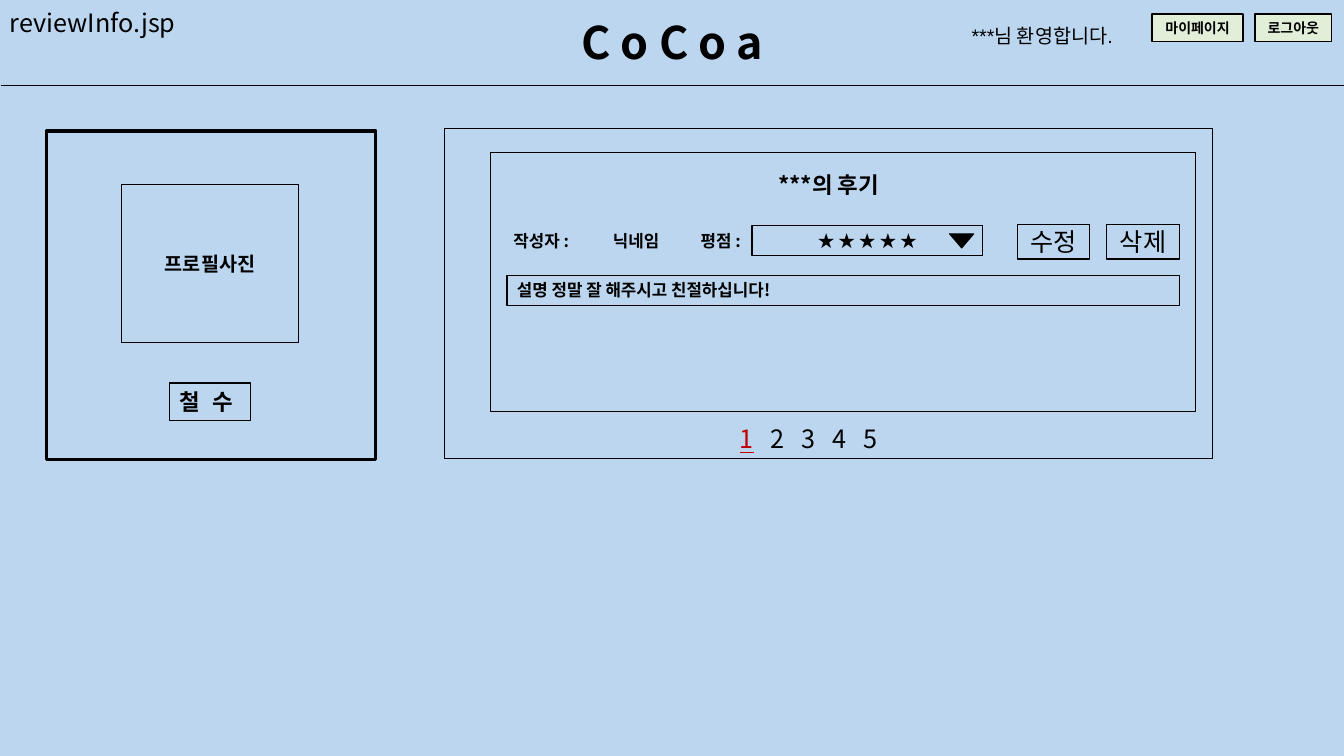
from dataclasses import dataclass

import pptx
import pptx.dml.color
import pptx.enum.shapes
import pptx.enum.text
import pptx.oxml.ns
import pptx.presentation
import pptx.shapes.autoshape
import pptx.shapes.base
import pptx.slide
import pptx.text.text
import pptx.util
from lxml import etree

BLACK = pptx.dml.color.RGBColor(0x00, 0x00, 0x00)
SKY = pptx.dml.color.RGBColor(0xBB, 0xD6, 0xEE)
MINT = pptx.dml.color.RGBColor(0xE1, 0xEF, 0xD8)
RED = pptx.dml.color.RGBColor(0xC0, 0x00, 0x00)
FONT = "Noto Sans CJK KR"
COLUMNS, ROWS = 160, 90
SLIDE_WIDTH, SLIDE_HEIGHT = pptx.util.Inches(13.33), pptx.util.Inches(7.5)
CENTER = pptx.enum.text.PP_ALIGN.CENTER
LEFT = pptx.enum.text.PP_ALIGN.LEFT
RECTANGLE = pptx.enum.shapes.MSO_SHAPE.RECTANGLE
TRIANGLE = pptx.enum.shapes.MSO_SHAPE.ISOSCELES_TRIANGLE


@dataclass(frozen=True)
class Area:
    column: float
    row: float
    width: float
    height: float


@dataclass(frozen=True)
class Label:
    area: Area
    text: str
    size: float = 12
    bold: bool = True
    alignment: pptx.enum.text.PP_ALIGN = CENTER
    font: str = FONT
    tab_width: float = 0


@dataclass(frozen=True)
class Box:
    area: Area
    label: Label | None = None
    line: float = 0.75
    fill: pptx.dml.color.RGBColor | None = None
    preset: pptx.enum.shapes.MSO_SHAPE = RECTANGLE
    rotation: float = 0


def boxed(area: Area, text: str, size: float = 12, bold: bool = True,
          alignment: pptx.enum.text.PP_ALIGN = CENTER, tab_width: float = 0,
          line: float = 0.75, fill: pptx.dml.color.RGBColor | None = None) -> Box:
    label = Label(area, text, size, bold, alignment, tab_width=tab_width)
    return Box(area, label, line, fill)


TITLE = Label(Area(60.6, 1.08, 38.88, 7.68), "C o C o a", 32)
PAGES = Label(Area(86.88, 49.8, 23.64, 4.8), "1\t2\t3\t4\t5", 18, False, LEFT, tab_width=3.69)
LABELS = [
    Label(Area(0, 0.24, 22.8, 4.8), "reviewInfo.jsp", 18, False, LEFT),
    Label(Area(114.48, 2.16, 22.8, 4.08), "***님 환영합니다.", 14, False, LEFT, "Arial"),
    Label(Area(89.04, 19.8, 19.2, 4.44), "***의 후기", 16),
    Label(Area(58.8, 26.88, 11.28, 3.6), "작성자 :"),
    Label(Area(70.08, 26.88, 11.28, 3.6), "닉네임"),
    Label(Area(80.16, 26.88, 11.28, 3.6), "평점 :"),
]
BOXES = [
    boxed(Area(137.16, 1.68, 10.8, 3.24), "마이페이지", 10, line=1, fill=MINT),
    boxed(Area(149.4, 1.68, 9.12, 3.24), "로그아웃", 10, line=1, fill=MINT),
    Box(Area(5.52, 15.6, 39.24, 39.12), line=2.25),
    boxed(Area(14.52, 21.96, 21, 18.84), "프로필사진", 14),
    boxed(Area(20.16, 45.6, 9.72, 4.44), "철\t수", 16, alignment=LEFT, tab_width=3.9),
    Box(Area(52.92, 15.36, 91.44, 39.24)),
    Box(Area(58.44, 18.12, 83.88, 30.84)),
    boxed(Area(89.52, 26.88, 27.48, 3.6), "★ ★ ★ ★ ★"),
    Box(Area(113.04, 27.84, 2.88, 1.68), fill=BLACK, preset=TRIANGLE, rotation=180),
    boxed(Area(121.08, 26.76, 8.64, 4.08), "수정", 18, False),
    boxed(Area(131.76, 26.76, 8.64, 4.08), "삭제", 18, False),
    boxed(Area(60.36, 32.76, 80.04, 3.6), "설명 정말 잘 해주시고 친절하십니다!", alignment=LEFT),
]


def across(columns: float) -> int:
    return round(SLIDE_WIDTH * columns / COLUMNS)


def down(rows: float) -> int:
    return round(SLIDE_HEIGHT * rows / ROWS)


def bounds(area: Area) -> tuple[int, int, int, int]:
    return across(area.column), down(area.row), across(area.width), down(area.height)


def write_label(shape: pptx.shapes.autoshape.Shape, label: Label) -> pptx.text.text._Paragraph:
    frame = shape.text_frame
    frame.word_wrap = True
    frame.auto_size = pptx.enum.text.MSO_AUTO_SIZE.NONE
    frame.vertical_anchor = pptx.enum.text.MSO_ANCHOR.MIDDLE
    paragraph = frame.paragraphs[0]
    paragraph.alignment = label.alignment
    for index, part in enumerate(label.text.split("\t")):
        paragraph.add_run().text = "\t" + part if index else part
    font = paragraph.font
    font.name, font.size, font.bold = label.font, pptx.util.Pt(label.size), label.bold
    font.color.rgb = BLACK
    qualified = pptx.oxml.ns.qn
    properties = paragraph._p.pPr
    defaults = properties.find(qualified("a:defRPr"))
    etree.SubElement(defaults, qualified("a:ea"), typeface=FONT)
    if label.tab_width:
        tabs = etree.Element(qualified("a:tabLst"))
        for stop in range(1, len(paragraph.runs)):
            etree.SubElement(tabs, qualified("a:tab"), pos=str(across(stop * label.tab_width)), algn="l")
        defaults.addprevious(tabs)
    return paragraph


def add_label(slide: pptx.slide.Slide, label: Label) -> pptx.text.text._Paragraph:
    return write_label(slide.shapes.add_textbox(*bounds(label.area)), label)


def add_box(slide: pptx.slide.Slide, box: Box) -> None:
    shape = slide.shapes.add_shape(box.preset, *bounds(box.area))
    shape.shadow.inherit = False
    shape.rotation = box.rotation
    shape.line.color.rgb = BLACK
    shape.line.width = pptx.util.Pt(box.line)
    if box.fill is None:
        shape.fill.background()
    else:
        shape.fill.solid()
        shape.fill.fore_color.rgb = box.fill
    if box.label:
        write_label(shape, box.label)


def add_header_line(slide: pptx.slide.Slide) -> None:
    connector = slide.shapes.add_connector(
        pptx.enum.shapes.MSO_CONNECTOR.STRAIGHT, across(0.12), down(10.2), across(COLUMNS), down(10.2))
    connector.line.color.rgb = BLACK
    connector.line.width = pptx.util.Pt(0.75)
    etree.SubElement(connector._element.spPr, pptx.oxml.ns.qn("a:effectLst"))


def main() -> None:
    presentation = pptx.Presentation()
    presentation.slide_width, presentation.slide_height = SLIDE_WIDTH, SLIDE_HEIGHT
    slide = presentation.slides.add_slide(presentation.slide_layouts.get_by_name("Title Only"))
    slide.background.fill.solid()
    slide.background.fill.fore_color.rgb = SKY
    title = slide.shapes.title
    title.left, title.top, title.width, title.height = bounds(TITLE.area)
    write_label(title, TITLE)
    add_header_line(slide)
    for box in BOXES:
        add_box(slide, box)
    for label in LABELS:
        add_label(slide, label)
    current_page = add_label(slide, PAGES).runs[0]
    current_page.font.color.rgb = RED
    current_page.font.underline = True
    presentation.save("out.pptx")


if __name__ == "__main__":
    main()
